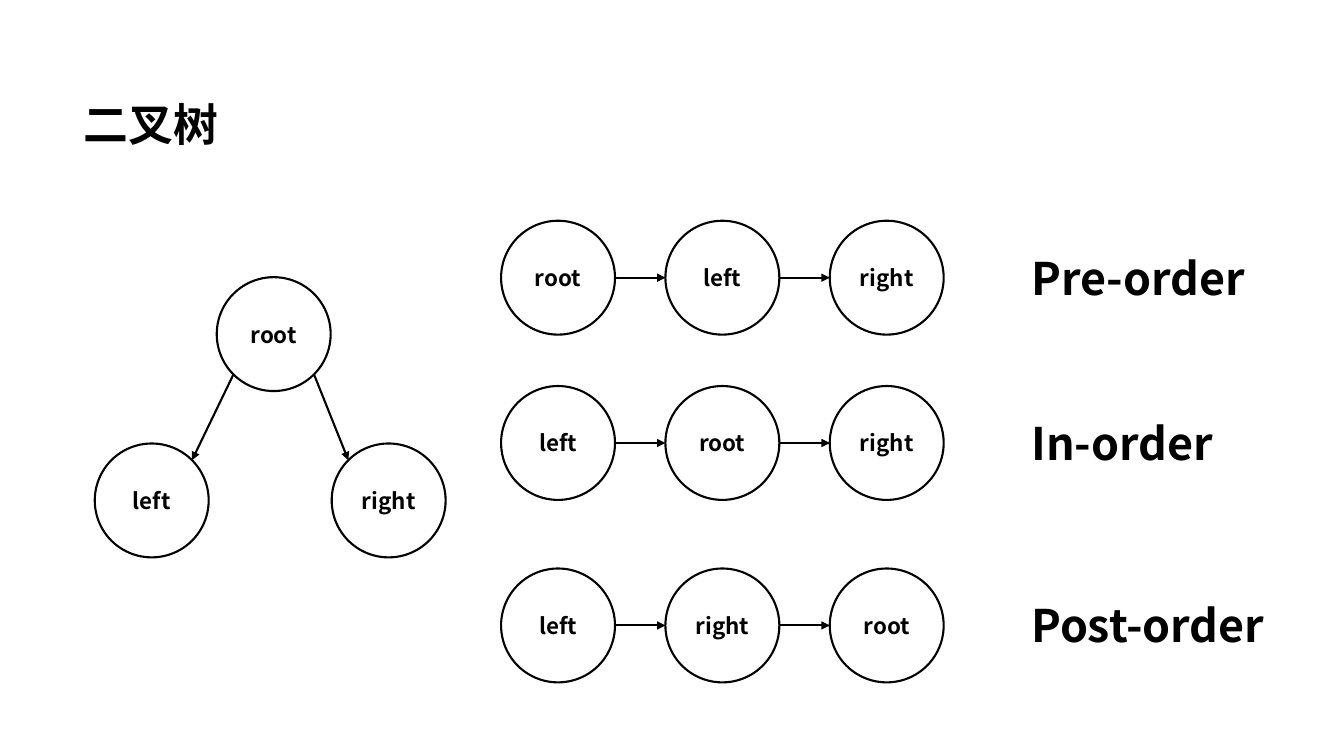
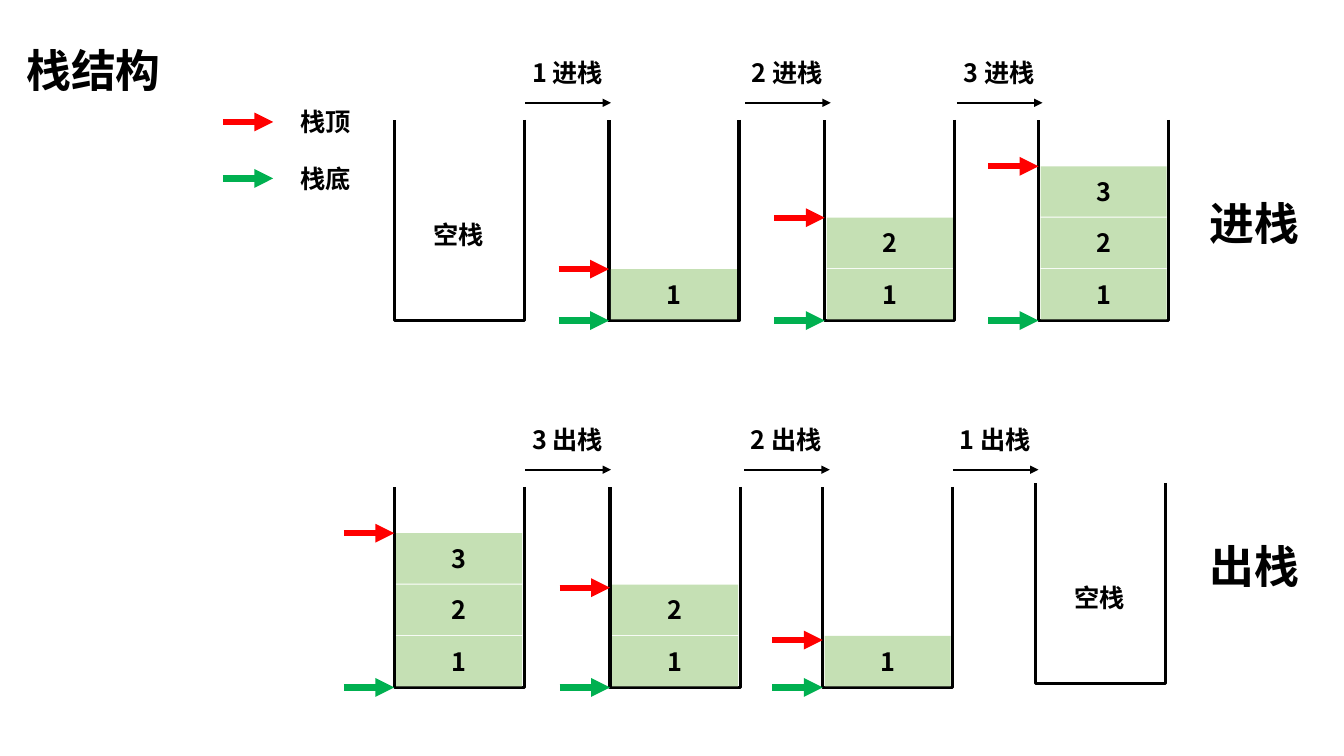
from math import sqrt

from lxml import etree
from pptx import Presentation
from pptx.dml.color import RGBColor
from pptx.enum.shapes import MSO_CONNECTOR, MSO_SHAPE
from pptx.enum.text import MSO_ANCHOR, MSO_AUTO_SIZE, PP_ALIGN
from pptx.oxml.ns import qn
from pptx.util import Inches, Pt

BLACK = RGBColor(0x00, 0x00, 0x00)
RED = RGBColor(0xFF, 0x00, 0x00)
GREEN = RGBColor(0x00, 0xB0, 0x50)
PALE = RGBColor(0xC5, 0xE0, 0xB4)
FONT = "Noto Sans CJK SC"

OVAL = MSO_SHAPE.OVAL
RECT = MSO_SHAPE.RECTANGLE
BRACKET = MSO_SHAPE.RIGHT_BRACKET
STRAIGHT = MSO_CONNECTOR.STRAIGHT
TOP, MIDDLE = MSO_ANCHOR.TOP, MSO_ANCHOR.MIDDLE
LEFT, CENTER = PP_ALIGN.LEFT, PP_ALIGN.CENTER
GROW = MSO_AUTO_SIZE.SHAPE_TO_FIT_TEXT

NODE = 1.13
STEP = 1.63
CUP_W, CUP_H = 1.29, 1.99
BLOCK_W, BLOCK_H, PITCH = 1.25, 0.5, 0.51
MARK = 0.5


def write(frame, text, size=18, align=LEFT, anchor=TOP, wrap=True):
    frame.word_wrap = wrap
    frame.vertical_anchor = anchor
    para = frame.paragraphs[0]
    para.alignment = align
    run = para.add_run()
    run.text = text
    font = run.font
    font.size = Pt(size)
    font.bold = True
    font.name = FONT
    font.color.rgb = BLACK
    latin = run._r.get_or_add_rPr().find(qn("a:latin"))
    asian = etree.Element(qn("a:ea"), typeface=FONT)
    latin.addnext(asian)


def label(slide, text, x, y, w, h=0.4, wrap=False, **style):
    box = slide.shapes.add_textbox(Inches(x), Inches(y), Inches(w), Inches(h))
    write(box.text_frame, text, wrap=wrap, **style)
    box.text_frame.auto_size = GROW


def heading(slide, text, x, y):
    title = slide.shapes.title
    title.left, title.top = Inches(x), Inches(y)
    title.width, title.height = Inches(1.55), Inches(0.64)
    write(title.text_frame, text, size=32, wrap=False)
    title.text_frame.auto_size = GROW


def shape(slide, kind, x, y, w, h, fill=None, line=None, weight=1.5):
    item = slide.shapes.add_shape(kind, Inches(x), Inches(y), Inches(w), Inches(h))
    item.shadow.inherit = False
    if fill is None:
        item.fill.background()
    else:
        item.fill.solid()
        item.fill.fore_color.rgb = fill
    if line is None:
        item.line.fill.background()
    else:
        item.line.color.rgb = line
        item.line.width = Pt(weight)
    return item


def arrow(slide, start, end, color=BLACK, weight=1.5):
    link = slide.shapes.add_connector(STRAIGHT, *map(Inches, (*start, *end)))
    link.line.color.rgb = color
    link.line.width = Pt(weight)
    etree.SubElement(link.line._get_or_add_ln(), qn("a:tailEnd"), type="triangle")
    etree.SubElement(link._element.spPr, qn("a:effectLst"))


def node(slide, text, x, y):
    disc = shape(slide, OVAL, x, y, NODE, NODE, line=BLACK)
    write(disc.text_frame, text, size=16, align=CENTER, anchor=MIDDLE)


def tree(slide, x, y):
    root, left, right = (x + 1.21, y), (x, y + 1.65), (x + 2.35, y + 1.65)
    for text, spot in (("root", root), ("left", left), ("right", right)):
        node(slide, text, *spot)
    near = NODE / 2 * (1 - 1 / sqrt(2))
    far = NODE - near
    for child, out, into in ((left, near, far), (right, far, near)):
        arrow(slide, (root[0] + out, root[1] + far),
              (child[0] + into, child[1] + near))


def chain(slide, x, y, names, order, width):
    mid = y + NODE / 2
    for i, name in enumerate(names):
        node(slide, name, x + i * STEP, y)
        if i:
            arrow(slide, (x + (i - 1) * STEP + NODE, mid), (x + i * STEP, mid))
    label(slide, order, x + 5.16, mid - 0.32, width, 0.64, size=32)


def mark(slide, x, y, color):
    arrow(slide, (x - MARK, y), (x, y), color, 4.5)


def cup(slide, x, y, count, level):
    base = y + CUP_H
    frame = shape(slide, BRACKET, x + (CUP_W - CUP_H) / 2, y + (CUP_H - CUP_W) / 2,
                  CUP_H, CUP_W, line=BLACK, weight=2.25)
    frame.rotation = 90
    frame.adjustments[0] = 0
    if not count:
        label(slide, "空栈", x + 0.29, y + 0.94, 0.71)
        return
    for i in range(1, count + 1):
        block = shape(slide, RECT, x + 0.02, base - i * PITCH,
                      BLOCK_W, BLOCK_H, fill=PALE)
        write(block.text_frame, str(i), align=CENTER, anchor=MIDDLE)
    mark(slide, x, base, GREEN)
    mark(slide, x, base - level, RED)


def move(slide, text, x, y):
    label(slide, text, x - 0.05, y - 0.5, 0.94, wrap=True, align=CENTER)
    arrow(slide, (x, y), (x + 0.85, y))


def row(slide, y, cups, moves, name, drop):
    for x, shift, count, level in cups:
        cup(slide, x, y + shift, count, level)
    for text, x in moves:
        move(slide, text, x, y - 0.17)
    label(slide, name, 11.9, y + drop, 1.1, 0.64, size=32)


def legend(slide, x, y):
    for i, (text, color) in enumerate((("栈顶", RED), ("栈底", GREEN))):
        top = y + i * 0.56
        mark(slide, x + MARK, top + 0.2, color)
        label(slide, text, x + 0.67, top, 0.71)


def trees(slide):
    heading(slide, "二叉树", 0.73, 0.91)
    tree(slide, 0.94, 2.75)
    for y, names, order, width in (
        (2.19, ("root", "left", "right"), "Pre-order", 2.38),
        (3.83, ("left", "root", "right"), "In-order", 2.07),
        (5.64, ("left", "right", "root"), "Post-order", 2.59),
    ):
        chain(slide, 4.97, y, names, order, width)


def stacks(slide):
    heading(slide, "栈结构", 0.16, 0.37)
    legend(slide, 2.21, 1.01)
    row(slide, 1.19,
        ((3.91, 0, 0, 0), (6.04, 0, 1, 0.51), (8.18, 0, 2, 1.02), (10.3, 0, 3, 1.53)),
        (("1 进栈", 5.21), ("2 进栈", 7.39), ("3 进栈", 9.49)), "进栈", 0.7)
    row(slide, 4.83,
        ((3.91, 0, 3, 1.53), (6.05, 0, 2, 0.99), (8.16, 0, 1, 0.47),
         (10.27, -0.04, 0, 0)),
        (("3 出栈", 5.21), ("2 出栈", 7.38), ("1 出栈", 9.45)), "出栈", 0.47)


def main():
    deck = Presentation()
    deck.slide_width, deck.slide_height = Inches(13.33), Inches(7.5)
    for draw in (trees, stacks):
        draw(deck.slides.add_slide(deck.slide_layouts[5]))
    deck.save("out.pptx")


if __name__ == "__main__":
    main()
